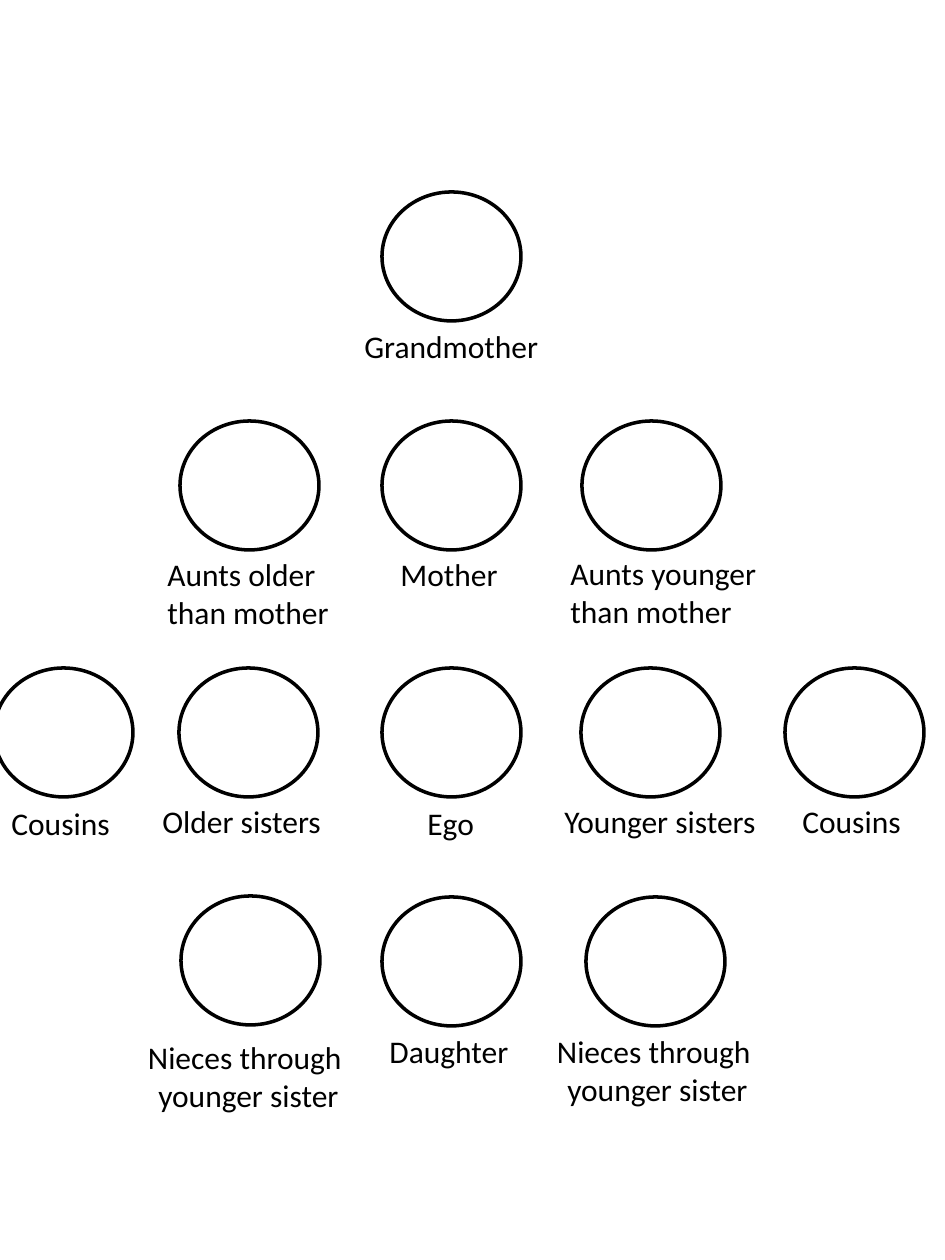
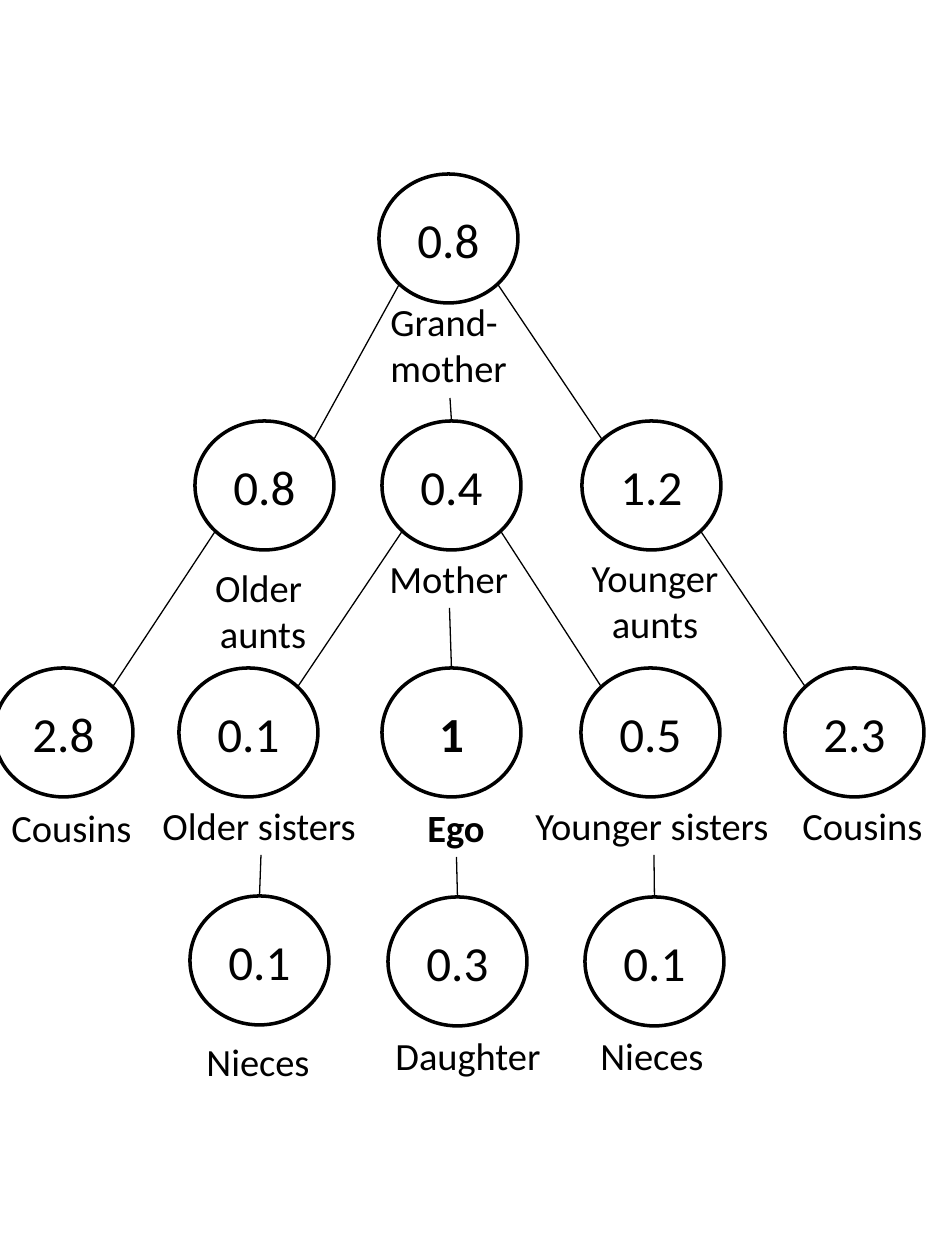
from math import sqrt

from lxml import etree
from pptx import Presentation
from pptx.dml.color import RGBColor
from pptx.enum.shapes import MSO_CONNECTOR, MSO_SHAPE
from pptx.enum.text import MSO_ANCHOR, MSO_AUTO_SIZE, PP_ALIGN
from pptx.oxml.ns import qn
from pptx.util import Emu, Pt

PX = 914400 / 126
INK = "000000"
FONT = "Calibri"
CIRCLE_WIDTH, CIRCLE_HEIGHT = 139, 129
LABEL_PADDING = 12
LEFT, CENTER = PP_ALIGN.LEFT, PP_ALIGN.CENTER


def px(*lengths):
    return [Emu(round(length * PX)) for length in lengths]


def write(box, lines, size, align, bold):
    frame = box.text_frame
    for number, line in enumerate(lines):
        para = frame.add_paragraph() if number else frame.paragraphs[0]
        para.alignment = align
        span = para.add_run()
        span.text = line
        span.font.name = FONT
        span.font.size = Pt(size)
        span.font.bold = bold
        span.font.color.rgb = RGBColor.from_string(INK)


# Each relative: key, value, circle left and top, label lines,
# label left, top and width, label alignment
NAMES = [
    ("ego", "", 382, 668, ["Ego"], 415, 798, 73, LEFT),
    ("daughter", "", 382, 897, ["Daughter"], 377, 1026, 146, LEFT),
    ("grandmother", "", 382, 192, ["Grandmother"], 352, 321, 202, LEFT),
    ("mother", "", 382, 421, ["Mother"], 388, 549, 123, LEFT),
    ("older aunts", "", 180, 421, ["Aunts older", "than mother"], 155, 549, 189, LEFT),
    ("younger aunts", "", 582, 421, ["Aunts younger", "than mother"], 558, 548, 213, LEFT),
    ("older sisters", "", 179, 668, ["Older sisters"], 150, 796, 185, LEFT),
    ("younger sisters", "", 581, 668, ["Younger sisters"], 552, 796, 218, LEFT),
    ("left cousins", "", -6, 668, ["Cousins"], -1, 798, 125, LEFT),
    ("right cousins", "", 785, 668, ["Cousins"], 790, 796, 125, LEFT),
    ("left nieces", "", 181, 896, ["Nieces through ", "younger sister"], 134, 1032, 229, CENTER),
    ("right nieces", "", 586, 897, ["Nieces through ", "younger sister"], 543, 1026, 229, CENTER),
]
COUNTS = [
    ("ego", "1", 382, 668, ["Ego"], 415, 798, 83, LEFT),
    ("daughter", "0.3", 388, 897, ["Daughter"], 383, 1026, 173, LEFT),
    ("grandmother", "0.8", 379, 174, ["Grand-", "mother"], 378, 292, 144, LEFT),
    ("mother", "0.4", 382, 421, ["Mother"], 377, 549, 145, LEFT),
    ("older aunts", "0.8", 195, 421, ["Older ", "aunts"], 202, 558, 122, CENTER),
    ("younger aunts", "1.2", 582, 421, ["Younger", "aunts"], 578, 548, 154, CENTER),
    ("older sisters", "0.1", 179, 668, ["Older sisters"], 150, 796, 222, LEFT),
    ("younger sisters", "0.5", 581, 668, ["Younger sisters"], 523, 796, 262, LEFT),
    ("left cousins", "2.8", -6, 668, ["Cousins"], -1, 798, 146, LEFT),
    ("right cousins", "2.3", 785, 668, ["Cousins"], 790, 796, 146, LEFT),
    ("left nieces", "0.1", 190, 896, ["Nieces"], 193, 1032, 130, CENTER),
    ("right nieces", "0.1", 585, 897, ["Nieces"], 587, 1026, 130, CENTER),
]
# Each descent: parent, child, side (-1 left, 0 straight down, 1 right)
DESCENTS = [
    ("grandmother", "mother", 0),
    ("mother", "ego", 0),
    ("ego", "daughter", 0),
    ("grandmother", "younger aunts", 1),
    ("grandmother", "older aunts", -1),
    ("older aunts", "left cousins", -1),
    ("younger aunts", "right cousins", 1),
    ("mother", "younger sisters", 1),
    ("mother", "older sisters", -1),
    ("older sisters", "left nieces", 0),
    ("younger sisters", "right nieces", 0),
]
# Each page: relatives, descents, label size, label line height, bold key
PAGES = [
    (NAMES, [], 18, 38, None),
    (COUNTS, DESCENTS, 22, 47, "ego"),
]

deck = Presentation()
deck.slide_width, deck.slide_height = px(945, 1260)

for relatives, descents, label_size, line_height, bold_key in PAGES:
    page = deck.slides.add_slide(deck.slide_layouts[6])
    circles, labels = {}, {}

    for key, value, left, top, lines, label_left, label_top, label_width, align in relatives:
        bold = key == bold_key
        circle = page.shapes.add_shape(
            MSO_SHAPE.OVAL, *px(left, top, CIRCLE_WIDTH, CIRCLE_HEIGHT))
        circle.shadow.inherit = False
        circle.fill.background()
        circle.line.color.rgb = RGBColor.from_string(INK)
        circle.line.width = Pt(2)
        circle.text_frame.vertical_anchor = MSO_ANCHOR.MIDDLE
        if value:
            write(circle, [value], 28, CENTER, bold)
        circles[key] = circle

        label_height = LABEL_PADDING + line_height * len(lines)
        label = page.shapes.add_textbox(
            *px(label_left, label_top, label_width, label_height))
        label.text_frame.word_wrap = False
        label.text_frame.auto_size = MSO_AUTO_SIZE.SHAPE_TO_FIT_TEXT
        write(label, lines, label_size, align, bold)
        labels[key] = label

    # Slanted lines run between the 45 degree points of two circles
    reach_x, reach_y = px(CIRCLE_WIDTH / sqrt(8), CIRCLE_HEIGHT / sqrt(8))
    for parent, child, side in descents:
        upper, lower = circles[parent], circles[child]
        line = page.shapes.add_connector(
            MSO_CONNECTOR.STRAIGHT,
            upper.left + upper.width // 2 + side * reach_x,
            upper.top + upper.height // 2 + reach_y,
            lower.left + lower.width // 2 - side * reach_x,
            lower.top + lower.height // 2 - reach_y)
        if side == 0:
            line.begin_connect(labels[parent], 2)
            line.end_connect(lower, 0)
        line.line.color.rgb = RGBColor.from_string(INK)
        line.line.width = Pt(0.75)
        etree.SubElement(line._element.spPr, qn("a:effectLst"))

deck.save("out.pptx")
